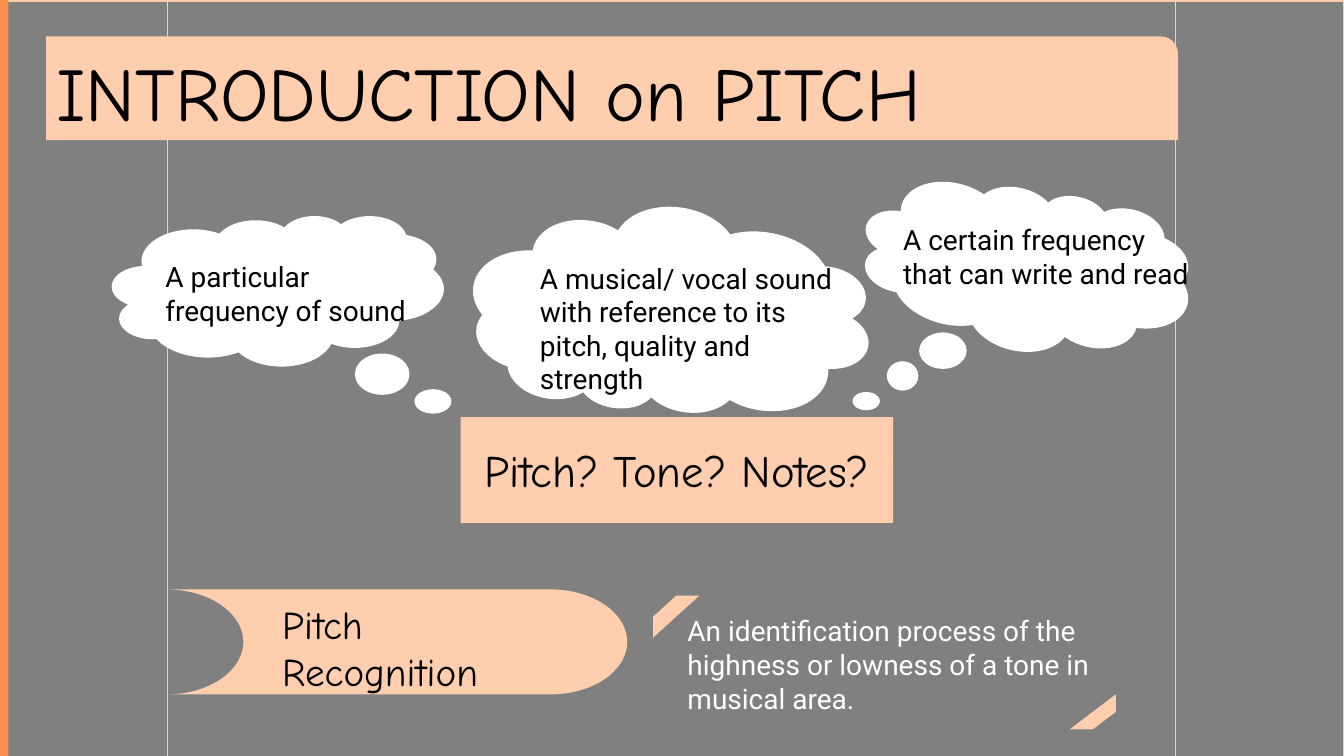
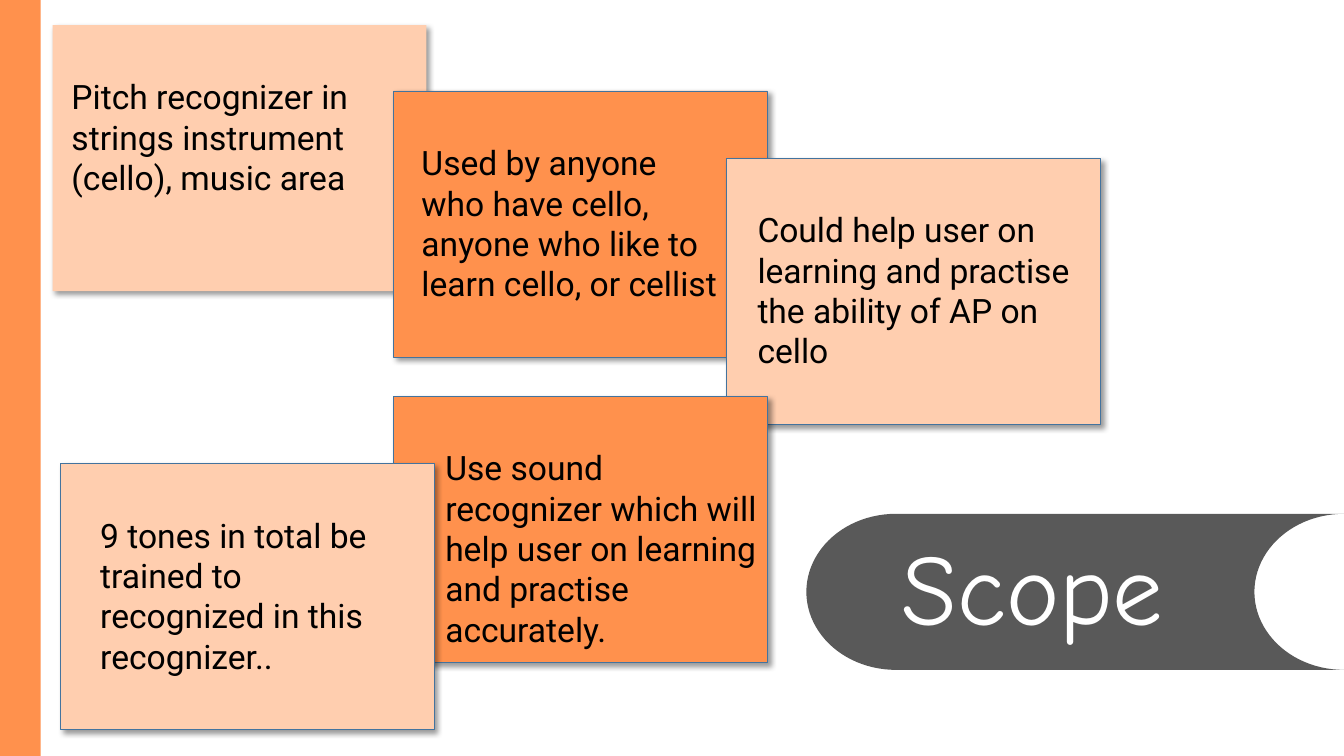
from lxml import etree
from pptx import Presentation
from pptx.dml.color import RGBColor
from pptx.enum.shapes import MSO_SHAPE as SHAPE
from pptx.enum.text import MSO_ANCHOR as ANCHOR, MSO_AUTO_SIZE as AUTO, PP_ALIGN as ALIGN
from pptx.oxml.ns import qn
from pptx.util import Pt

W, H = 960, 540
TITLE_ONLY = 5
CARD_W, CARD_H = 267, 190
COLORS = {
    "accent": "FF914D",
    "peach": "FFCEAF",
    "panel": "808080",
    "tab": "595959",
    "edge": "43739E",
    "white": "FFFFFF",
    "black": "000000",
}
HEADING, BODY = "Comic Neue", "Roboto"
FORMATS = {
    "title": {"name": HEADING, "size": Pt(54)},
    "scope": {"name": HEADING, "size": Pt(72)},
    "question": {"name": HEADING, "size": Pt(32)},
    "term": {"name": HEADING, "size": Pt(28)},
    "text": {"name": BODY, "size": Pt(20)},
    "card": {"name": BODY, "size": Pt(24)},
}


def rgb(name):
    return RGBColor.from_string(COLORS[name])


def write(sp, text, style, color="black", align=ALIGN.LEFT, anchor=ANCHOR.TOP):
    tf = sp.text_frame
    frame = {"word_wrap": True, "auto_size": AUTO.NONE, "vertical_anchor": anchor}
    for key, value in frame.items():
        setattr(tf, key, value)
    p = tf.paragraphs[0]
    p.alignment = align
    r = p.add_run()
    r.text = text
    for key, value in FORMATS[style].items():
        setattr(r.font, key, value)
    r.font.color.rgb = rgb(color)


def add_text(s, box, text, style, color="black"):
    sp = s.shapes.add_textbox(*map(Pt, box))
    write(sp, text, style, color)


def add_shape(s, kind, box, fill, line=None, width=1, rotation=0):
    sp = s.shapes.add_shape(kind, *map(Pt, box))
    sp.shadow.inherit = False
    sp.rotation = rotation
    sp.fill.solid()
    sp.fill.fore_color.rgb = rgb(fill)
    if line:
        sp.line.color.rgb = rgb(line)
        sp.line.width = Pt(width)
    else:
        sp.line.fill.background()
    return sp


def add_shadow(sp):
    effects = sp.element.spPr.find(qn("a:effectLst"))
    shadow = etree.SubElement(
        effects, qn("a:outerShdw"), blurRad=str(Pt(4)), dist=str(Pt(3)),
        dir="2700000", algn="tl", rotWithShape="0")
    color = etree.SubElement(shadow, qn("a:srgbClr"), val=COLORS["black"])
    etree.SubElement(color, qn("a:alpha"), val="40000")


def set_title(s, box, text, style, color="black"):
    """Place the title placeholder in front of the shapes drawn so far."""
    title = s.shapes.title
    title.left, title.top, title.width, title.height = map(Pt, box)
    write(title, text, style, color)
    s.shapes.element.append(title.element)


def accent_bar(s, width):
    add_shape(s, SHAPE.RECTANGLE, (0, 0, width, H), "accent")


def title_band(s, box, text):
    x, y, w, h = box
    add_shape(s, SHAPE.ROUND_1_RECTANGLE, box, "peach")
    set_title(s, (x, y + 3.5, w, h), text, "title")


def thought(s, box, text, inset, rotation=0, puffs=()):
    """Cloud with text; inset is the text's x, y and width, puffs are relative boxes."""
    x, y, w, h = box
    dx, dy, text_w = inset
    add_shape(s, SHAPE.CLOUD, box, "white", rotation=rotation)
    add_text(s, (x + dx, y + dy, text_w, h - dy), text, "text")
    for px, py, pw, ph in puffs:
        add_shape(s, SHAPE.OVAL, (x + px, y + py, pw, ph), "white")


def question(s, box, text):
    sp = add_shape(s, SHAPE.RECTANGLE, box, "peach")
    write(sp, text, "question", align=ALIGN.CENTER, anchor=ANCHOR.MIDDLE)


def term_tab(s, box, text):
    x, y, w, h = box
    add_shape(s, SHAPE.FLOWCHART_STORED_DATA, box, "peach", rotation=180)
    add_text(s, (x + 75.5, y + 4, 216.5, h), text, "term")


def definition(s, box, text):
    """Text between two corner stripes."""
    x, y, w, h = box
    add_shape(s, SHAPE.DIAGONAL_STRIPE, (x, y, 33, 30), "peach")
    add_shape(s, SHAPE.DIAGONAL_STRIPE, (x + w - 33, y + h - 25, 33, 25), "peach",
              rotation=180)
    add_text(s, (x + 17.5, y + 9.5, w - 17.5, 80), text, "text", "white")


def card(s, x, y, text, fill, dx, text_w, line="edge"):
    sp = add_shape(s, SHAPE.RECTANGLE, (x, y, CARD_W, CARD_H), fill, line, 0.5)
    add_shadow(sp)
    add_text(s, (x + dx, y + 33, text_w, CARD_H - 37), text, "card")


def scope_tab(s, box, text):
    x, y, w, h = box
    add_shape(s, SHAPE.FLOWCHART_STORED_DATA, box, "tab")
    set_title(s, (x + 61, y + 4, 262, 94), text, "scope", "white")


def new_slide(prs):
    s = prs.slides.add_slide(prs.slide_layouts[TITLE_ONLY])
    s.background.fill.solid()
    s.background.fill.fore_color.rgb = rgb("white")
    return s


def pitch_slide(prs):
    s = new_slide(prs)
    add_shape(s, SHAPE.FLOWCHART_PREDEFINED_PROCESS, (-0.5, 0.7, W, H + 1.5),
              "panel", "peach")
    title_band(s, (33, 26, 808.5, 74), "INTRODUCTION on PITCH")
    question(s, (329, 298, 309, 75.5), "Pitch? Tone? Notes?")
    thought(s, (80, 154, 237, 107.5), "A particular frequency of sound", (31, 28, 195),
            puffs=[(173.5, 98.5, 39, 29.5), (216, 124, 26.5, 17.5)])
    thought(s, (337, 148.5, 285, 148.5),
            "A musical/ vocal sound with reference to its pitch, quality and strength",
            (41.5, 34.5, 231), 188.1)
    thought(s, (615, 133, 236, 117.5), "A certain frequency that can write and read",
            (23, 22.5, 218.5), 13.2,
            [(41.5, 104.5, 34, 26), (18.5, 125, 22.5, 21), (-6, 147, 19.5, 13)])
    term_tab(s, (119, 421, 329, 75), "Pitch Recognition")
    definition(s, (466.5, 425.5, 330.5, 95.5),
               "An identification process of the highness or lowness of a tone "
               "in musical area.")
    accent_bar(s, 6)


def scope_slide(prs):
    s = new_slide(prs)
    accent_bar(s, 29)
    card(s, 37.5, 18, "Pitch recognizer in strings instrument (cello), music area",
         "peach", 6.5, 238, line=None)
    cards = [
        (281, 65, "Used by anyone who have cello, anyone who like to learn cello, "
                  "or cellist", "accent", 13, 226.5),
        (519, 113, "Could help user on learning and practise the ability of AP on cello",
         "peach", 15, 240),
        (281, 283, "Use sound recognizer which will help user on learning and "
                   "practise accurately.", "accent", 30, 238.5),
        (43, 331, "9 tones in total be trained to recognized in this recognizer..",
         "peach", 21.5, 214.5),
    ]
    for item in cards:
        card(s, *item)
    scope_tab(s, (576, 367, 384, 111.5), "Scope")


def main():
    prs = Presentation()
    prs.slide_width, prs.slide_height = Pt(W), Pt(H)
    pitch_slide(prs)
    scope_slide(prs)
    prs.save("out.pptx")


if __name__ == "__main__":
    main()
